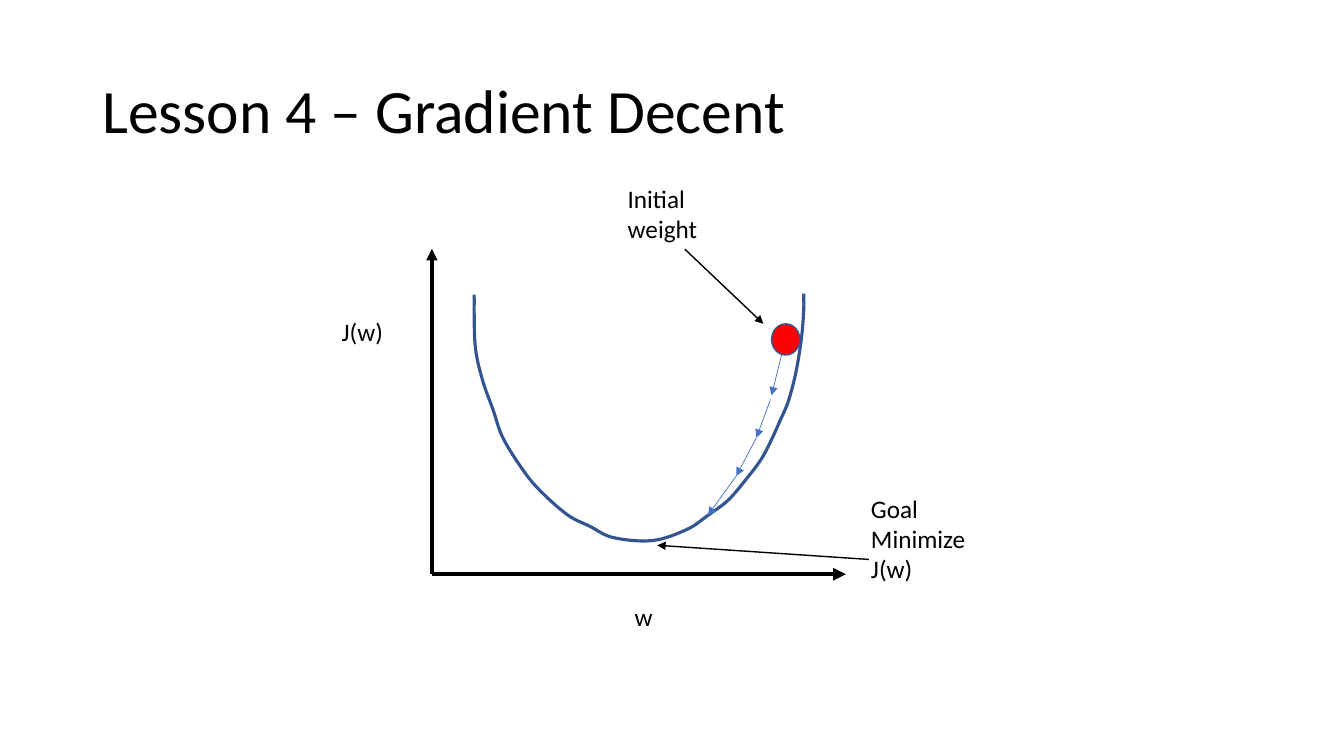
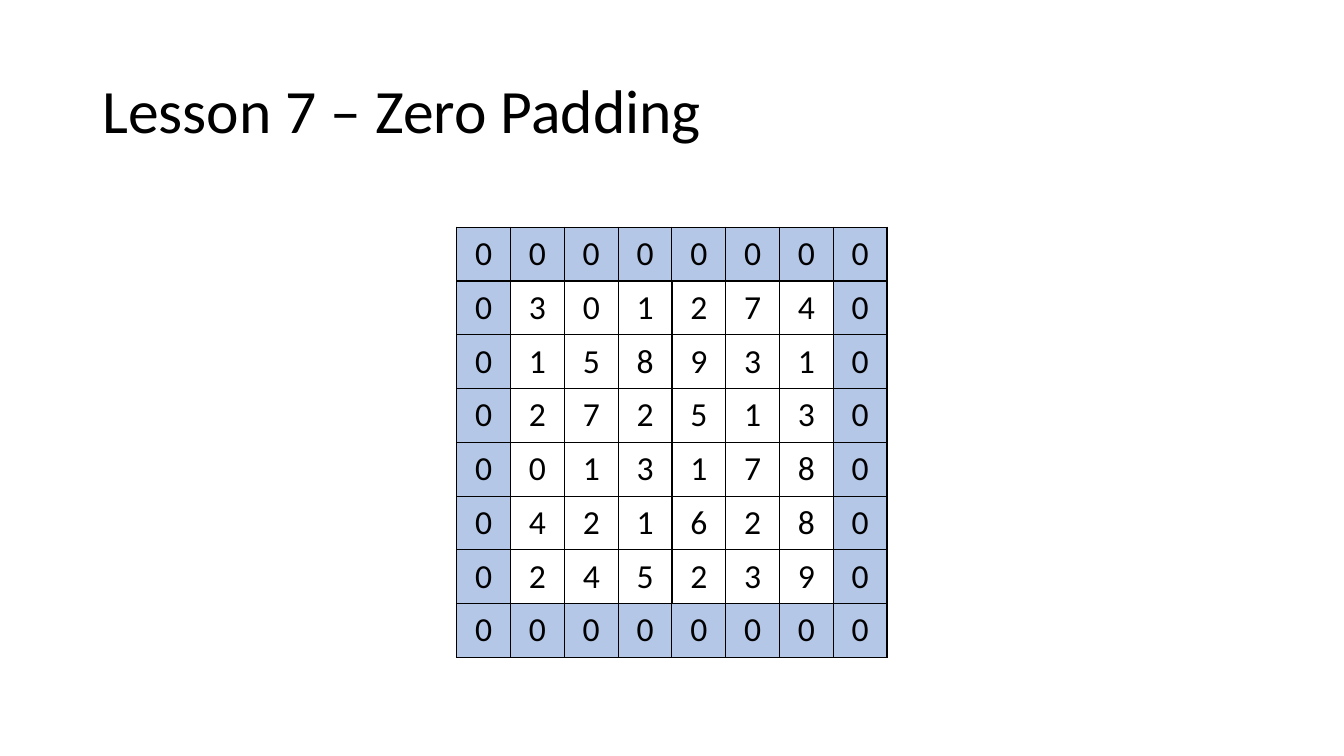
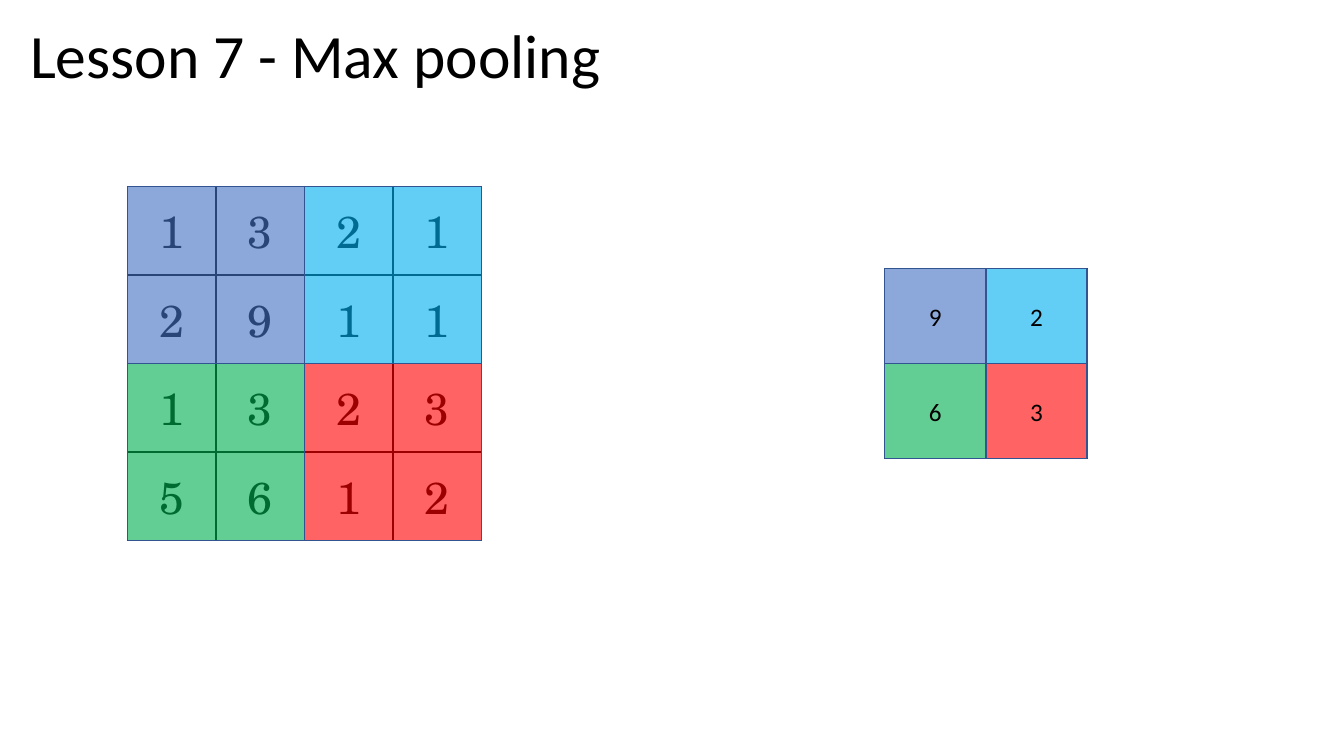
from collections import namedtuple
from dataclasses import dataclass

from lxml.etree import SubElement
from pptx import Presentation
from pptx.dml.color import RGBColor
from pptx.enum.shapes import MSO_CONNECTOR, MSO_SHAPE
from pptx.enum.text import MSO_ANCHOR, MSO_AUTO_SIZE, PP_ALIGN
from pptx.oxml.ns import qn
from pptx.util import Pt

Box = namedtuple("Box", "left top width height")


@dataclass(frozen=True)
class Theme:
    font: str = "Calibri"
    number_font: str = "TeX Gyre Schola"
    title_size: float = 44
    pool_size: float = 32
    grid_size: float = 24
    label_size: float = 18
    ink: str = "000000"
    outline: str = "325491"
    step: str = "4472C4"
    ball: str = "FF0000"
    padding: str = "B4C7E7"
    pools: tuple = (("4472C4", "00B0F0"), ("00B050", "FF0000"))
    pool_opacity: int = 61


THEME = Theme()
TITLE_BOX = Box(66, 28.8, 828, 104.4)


# Shared helpers
def color(value):
    return RGBColor.from_string(value)


def points(*lengths):
    return [Pt(length) for length in lengths]


def write_text(frame, text, size=THEME.label_size, font=THEME.font,
               ink=THEME.ink, align=PP_ALIGN.LEFT, spacing=None):
    for index, line in enumerate(text.split("\n")):
        para = frame.add_paragraph() if index else frame.paragraphs[0]
        para.alignment = align
        para.line_spacing = spacing
        span = para.add_run()
        span.text = line
        span.font.size = Pt(size)
        span.font.name = font
        span.font.color.rgb = color(ink)


def add_title(page, text, box=TITLE_BOX, anchor=MSO_ANCHOR.MIDDLE):
    frame = page.shapes.add_textbox(*points(*box)).text_frame
    frame.word_wrap = True
    frame.vertical_anchor = anchor
    write_text(frame, text, size=THEME.title_size, spacing=0.9)


def style_shape(shape, line_width, fill=None, opacity=100):
    shape.shadow.inherit = False
    shape.line.color.rgb = color(THEME.outline)
    shape.line.width = Pt(line_width)
    if fill is None:
        shape.fill.background()
        return
    shape.fill.solid()
    shape.fill.fore_color.rgb = color(fill)
    if opacity < 100:
        solid = shape._element.spPr.find(qn("a:solidFill"))
        SubElement(solid[0], qn("a:alpha"), val=str(opacity * 1000))


def add_arrow(page, start, end, ink, width):
    arrow = page.shapes.add_connector(MSO_CONNECTOR.STRAIGHT, *points(*start, *end))
    arrow.line.color.rgb = color(ink)
    arrow.line.width = Pt(width)
    SubElement(arrow.line._get_or_add_ln(), qn("a:tailEnd"), type="triangle")
    SubElement(arrow._element.spPr, qn("a:effectLst"))


def add_borders(cell, width=1):
    properties = cell._tc.get_or_add_tcPr()
    for side in ("lnL", "lnR", "lnT", "lnB"):
        line = SubElement(properties, qn(f"a:{side}"), w=str(Pt(width)))
        solid = SubElement(line, qn("a:solidFill"))
        SubElement(solid, qn("a:srgbClr"), val=THEME.ink)


def add_grid(page, box, rows, fill=None, margin=None, **text_format):
    """Draw rows of one-character values; a space leaves its cell empty."""
    table = page.shapes.add_table(len(rows), len(rows[0]), *points(*box)).table
    table.first_row = table.horz_banding = False
    for column in table.columns:
        column.width = Pt(box.width / len(rows[0]))
    for row, values in zip(table.rows, rows):
        row.height = Pt(box.height / len(rows))
        for cell, value in zip(row.cells, values):
            add_borders(cell)
            cell.fill.background()
            if value == " ":
                continue
            cell.vertical_anchor = MSO_ANCHOR.MIDDLE
            if margin is not None:
                cell.margin_left = cell.margin_right = Pt(margin)
                cell.margin_top = cell.margin_bottom = Pt(margin)
            if fill:
                cell.fill.solid()
                cell.fill.fore_color.rgb = color(fill)
            write_text(cell.text_frame, value, align=PP_ALIGN.CENTER, **text_format)


# Gradient descent
def add_curve(page, knots, line_width):
    """Draw a smooth open curve, one Bezier segment between each two knots."""
    builder = page.shapes.build_freeform(*points(*knots[0]))
    builder.add_line_segments([points(*knot) for knot in knots[1:]], close=False)
    curve = builder.convert_to_shape()
    style_shape(curve, line_width)
    outline = next(curve._element.iter(qn("a:path")))
    local = [(int(node.get("x")), int(node.get("y")))
             for node in outline.iter(qn("a:pt"))]
    for segment in outline.findall(qn("a:lnTo")):
        outline.remove(segment)
    padded = [local[0], *local, local[-1]]
    for before, start, end, after in zip(padded, padded[1:], padded[2:], padded[3:]):
        leave = [s + (e - b) / 6 for b, s, e in zip(before, start, end)]
        arrive = [e - (a - s) / 6 for s, e, a in zip(start, end, after)]
        segment = SubElement(outline, qn("a:cubicBezTo"))
        for x, y in (leave, arrive, end):
            SubElement(segment, qn("a:pt"), x=str(round(x)), y=str(round(y)))


def add_loss_figure(page, left, top):
    def place(x, y):
        return left + x, top + y

    # Axes
    corner = place(72.2, 283)
    add_arrow(page, corner, place(72.2, 50.6), THEME.ink, 2.75)
    add_arrow(page, corner, place(367.9, 283), THEME.ink, 3)

    # Loss curve
    knots = [
        (102.4, 83.2), (103.1, 119.2), (108.2, 143.7), (116.1, 166),
        (122.6, 184.8), (134.8, 204.9), (147.8, 221.5), (168.6, 240.2),
        (185.2, 248.8), (201.8, 256.8), (229.8, 258.9), (254.3, 251),
        (269.4, 240.9), (283.8, 230.1), (296.8, 215), (307.6, 200.6),
        (314.8, 186.9), (320.6, 174), (326.3, 161), (330.6, 145.9),
        (333.5, 132.2), (336.4, 112.8), (337.8, 94.8), (337.8, 82.5)]
    add_curve(page, [place(*knot) for knot in knots], 2.25)

    # Ball at the initial weight
    ball = page.shapes.add_shape(
        MSO_SHAPE.OVAL, *points(*place(314.8, 104.1), 20.2, 22.3))
    style_shape(ball, 1, THEME.ball)

    # Descent steps
    for start, end in (((322, 126.4), (314.8, 155.2)),
                       ((314.1, 158.1), (304, 185.5)),
                       ((304, 185.5), (289.6, 212.8)),
                       ((289.6, 212.8), (269.4, 240.9))):
        add_arrow(page, place(*start), place(*end), THEME.step, 0.5)

    # Pointers from the labels
    add_arrow(page, place(252.9, 50.8), place(309, 104.1), THEME.ink, 1)
    add_arrow(page, place(384.4, 272.4), place(233.2, 262.3), THEME.ink, 1)

    # Labels
    for text, x, y, width, height in (
            ("J(w)", 0.7, 95.3, 44.6, 29),
            ("w", 209.9, 298.6, 27.4, 29),
            ("Initial\nweight", 205, 0.2, 64.8, 51),
            ("Goal\nMinimize\nJ(w)", 378.8, 221.3, 86.4, 72.7)):
        label = page.shapes.add_textbox(*points(*place(x, y), width, height))
        label.text_frame.word_wrap = False
        label.text_frame.auto_size = MSO_AUTO_SIZE.SHAPE_TO_FIT_TEXT
        write_text(label.text_frame, text)


# Zero padding
def add_padded_grid(page, box, rows):
    size = len(rows) + 2
    cell_width, cell_height = box.width / size, box.height / size
    edge = "0" * size
    ring = [edge, *["0" + " " * len(row) + "0" for row in rows], edge]
    inner = Box(box.left + cell_width, box.top + cell_height,
                box.width - 2 * cell_width, box.height - 2 * cell_height)
    add_grid(page, box, ring, fill=THEME.padding, margin=0, size=THEME.grid_size)
    add_grid(page, inner, rows, margin=0, size=THEME.grid_size)


# Max pooling
def add_pools(page, box, labels=("  ", "  ")):
    """Cover the box with one translucent tile for each quarter."""
    group = page.shapes.add_group_shape()
    width, height = box.width / 2, box.height / 2
    for row, (fills, values) in enumerate(zip(THEME.pools, labels)):
        for column, (fill, value) in enumerate(zip(fills, values)):
            tile = group.shapes.add_shape(MSO_SHAPE.RECTANGLE, *points(
                box.left + column * width, box.top + row * height, width, height))
            style_shape(tile, 1, fill, THEME.pool_opacity)
            if value != " ":
                tile.text_frame.vertical_anchor = MSO_ANCHOR.MIDDLE
                write_text(tile.text_frame, value, align=PP_ALIGN.CENTER)


def add_pooling(page, source, result):
    add_grid(page, source, ["1321", "2911", "1323", "5612"],
             size=THEME.pool_size, font=THEME.number_font)
    add_grid(page, result, ["  ", "  "])
    add_pools(page, source)
    add_pools(page, result, ["92", "63"])


def main():
    deck = Presentation()
    deck.slide_width, deck.slide_height = points(960, 540)
    blank = deck.slide_layouts[6]

    page = deck.slides.add_slide(blank)
    add_title(page, "Lesson 4 – Gradient Decent")
    add_loss_figure(page, 236.3, 127.2)

    page = deck.slides.add_slide(blank)
    add_title(page, "Lesson 7 – Zero Padding")
    add_padded_grid(page, Box(326.3, 162.3, 307.4, 307.4),
                    ["301274", "158931", "272513", "013178", "421628", "245239"])

    page = deck.slides.add_slide(blank)
    add_title(page, "Lesson 7 - Max pooling",
              TITLE_BOX._replace(left=14.4, top=14.4), MSO_ANCHOR.TOP)
    add_pooling(page, Box(91, 133.2, 253, 253), Box(631.9, 191.9, 144.6, 135.6))

    deck.save("out.pptx")


if __name__ == "__main__":
    main()
